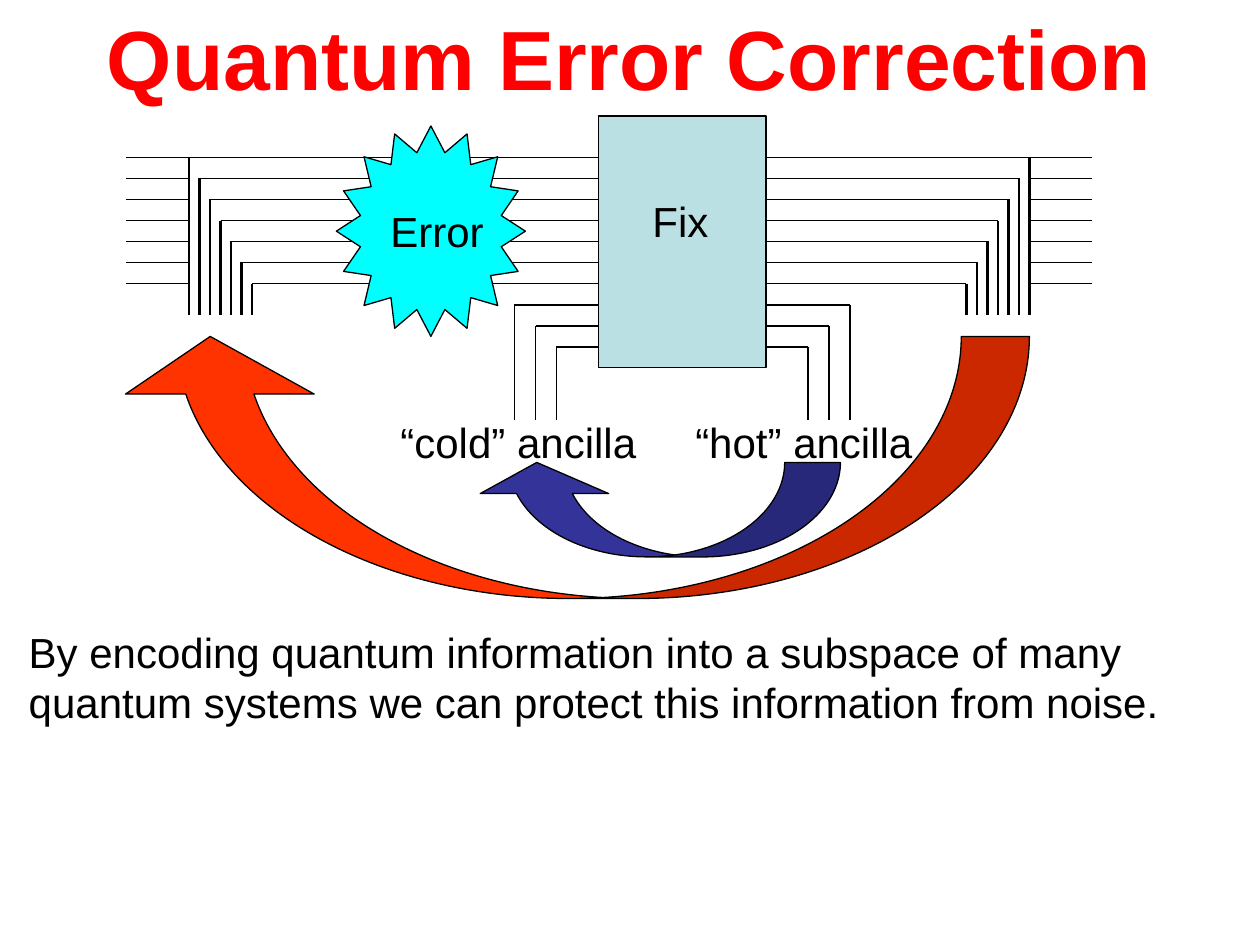
from dataclasses import dataclass

from pptx import Presentation
from pptx.dml.color import RGBColor as Rgb
from pptx.enum.shapes import MSO_CONNECTOR as Conn, MSO_SHAPE as Kind
from pptx.oxml.ns import qn
from pptx.util import Inches, Pt
from lxml.etree import SubElement


@dataclass(frozen=True)
class Theme:
    """Colours, type sizes and line widths of the slide."""
    font: str = "Arial"
    ink: str = "000000"
    title: str = "FF0000"
    fix: str = "BBE0E3"
    error: str = "00FFFF"
    cold: str = "333399"
    loop: str = "FF3300"
    big: float = 48
    body: float = 24
    thin: float = 0.75
    wire: float = 1
    bold: float = 1.5


THEME = Theme()
STEP = 1 / 6


def add_line(slide, start, end, width):
    """Draw a straight wire between two points."""
    line = slide.shapes.add_connector(
        Conn.STRAIGHT, *(Inches(v) for v in (*start, *end)))
    line.line.color.rgb = Rgb.from_string(THEME.ink)
    line.line.width = Pt(width)
    SubElement(line._element.spPr, qn("a:effectLst"))


def add_form(slide, kind, box, fill, adjust=()):
    """Draw a filled, outlined preset shape in the box."""
    form = slide.shapes.add_shape(kind, *(Inches(v) for v in box))
    form.shadow.inherit = False
    form.fill.solid()
    form.fill.fore_color.rgb = Rgb.from_string(fill)
    form.line.color.rgb = Rgb.from_string(THEME.ink)
    form.line.width = Pt(THEME.thin)
    for i, value in enumerate(adjust):
        form.adjustments[i] = value
    return form


def add_text(slide, box, lines, size=THEME.body, color=THEME.ink, bold=False):
    """Place lines of text, one paragraph each, in the box."""
    frame = slide.shapes.add_textbox(*(Inches(v) for v in box)).text_frame
    frame.word_wrap = True
    for i, words in enumerate(lines):
        para = frame.paragraphs[0] if i == 0 else frame.add_paragraph()
        run = para.add_run()
        run.text = words
        run.font.name = THEME.font
        run.font.size = Pt(size)
        run.font.bold = bold
        run.font.color.rgb = Rgb.from_string(color)


def add_wires(slide, box, count=7):
    """Draw the nested wires that cross the box from side to side."""
    left, top, width, height = box
    for i in range(count):
        y, inset = top + i * STEP, i * STEP / 2
        add_line(slide, (left + inset, y), (left + width - inset, y), THEME.wire)


def add_ends(slide, box, count=7, stub=0.5):
    """Draw the wire drops at both ends and the stubs outside the box."""
    left, top, width, height = box
    for edge, side in ((left, 1), (left + width, -1)):
        for i in range(count):
            x, y = edge + side * i * STEP / 2, top + i * STEP
            add_line(slide, (x, y), (x, top + height), THEME.bold)
            add_line(slide, (edge - side * stub, y), (edge, y), THEME.thin)


def add_gate(slide, box):
    """Draw the fix gate and its label."""
    left, top, width, height = box
    add_form(slide, Kind.RECTANGLE, box, THEME.fix)
    add_text(slide, (left + 0.33, top + 0.58, 0.75, 0.5), ["Fix"])


def add_error(slide, box):
    """Draw the error burst and its label."""
    left, top, width, height = box
    add_form(slide, Kind.STAR_16_POINT, box, THEME.error, [0.38])
    add_text(slide, (left + 0.33, top + 0.58, 1, 0.5), ["Error"])


def add_ancilla(slide, gate, count=3):
    """Draw the ancilla wires on both sides of the gate and name them."""
    left, top, width, height = gate
    low = top + height + 2.5 * STEP
    for edge, side in ((left, -1), (left + width, 1)):
        for i in range(count):
            x, y = edge + side * (4 - i) * STEP, top + (9 + i) * STEP
            add_line(slide, (edge, y), (x, y), THEME.wire)
            add_line(slide, (x, y), (x, low), THEME.wire)
    for x, words in ((left - 1.67, "“cold” ancilla"), (left + 0.67, "“hot” ancilla")):
        add_text(slide, (x, low - STEP / 2, 2.1, 0.5), [words])


def add_loop(slide, box, fill, adjust):
    """Draw a curved arrow that returns from right to left."""
    arrow = add_form(slide, Kind.CURVED_UP_ARROW, box, fill, adjust)
    arrow._element.spPr.get_or_add_xfrm().set("flipH", "1")


def build():
    """Build the slide and save it."""
    deck = Presentation()
    deck.slide_width, deck.slide_height = Inches(10), Inches(7.5)
    slide = deck.slides.add_slide(deck.slide_layouts[6])
    wires = (1.5, 1.25, 6.67, 1.25)
    gate = (4.75, 0.92, 1.33, 2)
    add_wires(slide, wires)
    add_gate(slide, gate)
    add_error(slide, (2.67, 1, 1.5, 1.67))
    add_ancilla(slide, gate)
    add_loop(slide, (3.75, 3.67, 2.92, 0.75), THEME.cold, (0.59, 1.36, 0.33))
    add_loop(slide, (0.92, 2.67, 7.25, 2.08), THEME.loop, (0.26, 0.72, 0.22))
    add_ends(slide, wires)
    add_text(slide, (0.75, 0, 8.6, 0.9), ["Quantum Error Correction"],
             THEME.big, THEME.title, True)
    add_text(slide, (0.13, 4.92, 9.8, 0.9), [
        "By encoding quantum information into a subspace of many",
        "quantum systems we can protect this information from noise."])
    deck.save("out.pptx")


if __name__ == "__main__":
    build()
